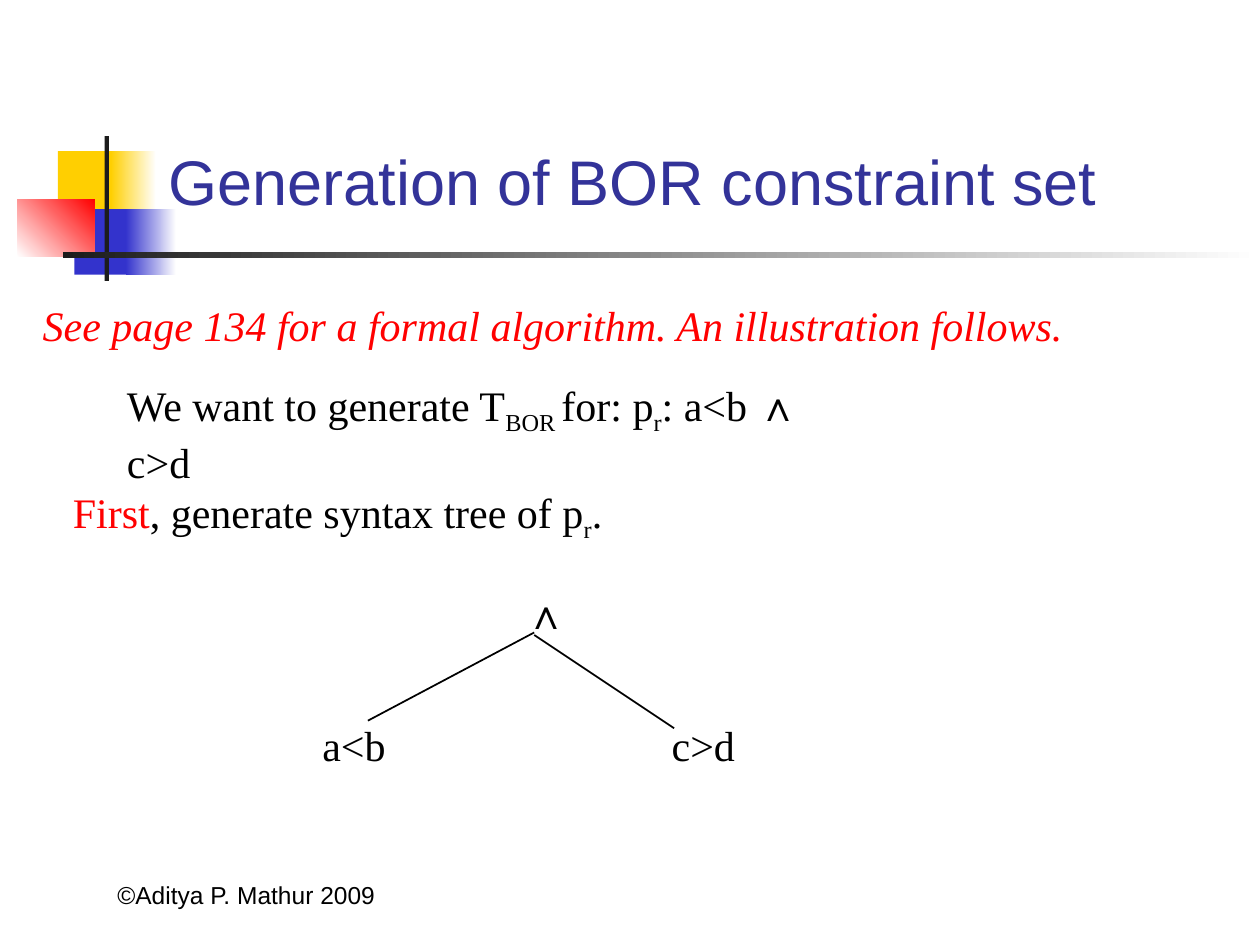
import pptx
import pptx.util
import pptx.dml.color
import pptx.enum.shapes
import pptx.enum.text
import pptx.oxml.ns
import lxml.etree

RGB = pptx.dml.color.RGBColor
YELLOW = RGB(0xFF, 0xCF, 0x01)
BLUE = RGB(0x33, 0x33, 0xCC)
TITLE_BLUE = RGB(0x33, 0x33, 0x99)
RED = RGB(0xFF, 0, 0)
CHARCOAL = RGB(0x1C, 0x1C, 0x1C)
BLACK = RGB(0, 0, 0)
WHITE = RGB(0xFF, 0xFF, 0xFF)

WIDTH, HEIGHT = pptx.util.Inches(10), pptx.util.Inches(7.5)
COLUMN, ROW = WIDTH / 100, HEIGHT / 75
SERIF, SANS = "Times New Roman", "Arial"
PLAIN = {"name": SERIF, "size": pptx.util.Pt(24), "color": BLACK, "italic": False}
SUBSCRIPT = {"baseline": "-25000"}


def spot(box, column, row):
    """Return the slide position of a grid point counted from the corner of box."""
    return round((box[0] + column) * COLUMN), round((box[1] + row) * ROW)


def extent(columns, rows):
    """Return a grid size as slide lengths."""
    return round(columns * COLUMN), round(rows * ROW)


def style_run(run, **changes):
    """Format a run with the plain style plus the given changes."""
    for key, value in {**PLAIN, **changes}.items():
        if key == "color":
            run.font.color.rgb = value
        elif key == "baseline":
            run.font._element.set("baseline", value)
        else:
            setattr(run.font, key, value)


def write(shapes, box, pieces, align=pptx.enum.text.PP_ALIGN.LEFT,
          anchor=pptx.enum.text.MSO_ANCHOR.TOP):
    """Put one paragraph of (text, style) pieces in a text box that fills box."""
    frame = shapes.add_textbox(*spot(box, 0, 0), *extent(*box[2:])).text_frame
    frame.word_wrap = True
    frame.vertical_anchor = anchor
    paragraph = frame.paragraphs[0]
    paragraph.alignment = align
    for text, changes in pieces:
        run = paragraph.add_run()
        run.text = text
        style_run(run, **changes)


def draw_block(shapes, box, area, colors, angle=0):
    """Draw a borderless rectangle, solid for one colour and graded for two."""
    block = shapes.add_shape(pptx.enum.shapes.MSO_SHAPE.RECTANGLE,
                             *spot(box, *area[:2]), *extent(*area[2:]))
    block.shadow.inherit = False
    block.line.fill.background()
    if len(colors) == 1:
        block.fill.solid()
        block.fill.fore_color.rgb = colors[0]
        return
    block.fill.gradient()
    block.fill.gradient_angle = angle
    for stop, color in zip(block.fill.gradient_stops, colors):
        stop.color.rgb = color


def draw_motif(shapes, box):
    """Draw the coloured squares and the crossed rules beside the title."""
    for area, colors, angle in (
        ((3.2, 1.2, 4.8, 5.2), (YELLOW,), 0),
        ((7.4, 1.2, 3.6, 5.2), (YELLOW, WHITE), 0),
        ((4.5, 5.8, 4.6, 5.2), (BLUE,), 0),
        ((8.6, 5.8, 4, 5.2), (BLUE, WHITE), 0),
        ((0, 5, 6.1, 4.6), (WHITE, RED), 45),
        ((6.9, 0, 0.35, 11.5), (CHARCOAL,), 0),
        ((3.6, 9.2, 95, 0.5), (CHARCOAL, WHITE), 0),
    ):
        draw_block(shapes, box, area, colors, angle)


def set_title(title, box):
    """Move and format the title placeholder."""
    title.left, title.top = spot(box, 0, 0)
    title.width, title.height = extent(*box[2:])
    frame = title.text_frame
    frame.text = "Generation of BOR constraint set"
    frame.vertical_anchor = pptx.enum.text.MSO_ANCHOR.BOTTOM
    frame.paragraphs[0].alignment = pptx.enum.text.PP_ALIGN.LEFT
    style_run(frame.paragraphs[0].runs[0], name=SANS, size=pptx.util.Pt(36), color=TITLE_BLUE)


def write_statements(shapes, box):
    """Write the note, the task and the first step."""
    left, top = box[:2]
    write(shapes, (left, top, 89.8, 5), [
        ("See page 134 for a formal algorithm. An illustration follows.",
         {"color": RED, "italic": True})])
    write(shapes, (left + 6.7, top + 6.3, 59.3, 5.6), [
        ("We want to generate T", {}), ("BOR ", SUBSCRIPT), ("for: p", {}),
        ("r", SUBSCRIPT), (": a<b ", {}), ("∧", {"name": SANS}), (" c>d", {})])
    write(shapes, (left + 2.4, top + 14.8, 44, 5.6), [
        ("First", {"color": RED}), (", generate syntax tree of p", {}),
        ("r", SUBSCRIPT), (".", {})])


def draw_branch(shapes, start, end):
    """Draw one thin branch of the tree."""
    branch = shapes.add_connector(pptx.enum.shapes.MSO_CONNECTOR.STRAIGHT, *start, *end)
    branch.line.color.rgb = BLACK
    branch.line.width = pptx.util.Pt(1)
    lxml.etree.SubElement(branch._element.spPr, pptx.oxml.ns.qn("a:effectLst"))


def draw_syntax_tree(shapes, box):
    """Draw the grouped syntax tree: a root, two leaves and two branches."""
    tree = shapes.add_group_shape().shapes
    left, top = box[:2]
    for text, area, font in (("a<b", (0, 10.5, 9.6, 5), SERIF),
                             (" c>d", (26.9, 10.5, 12, 5), SERIF),
                             ("∧", (16.1, 0, 4.8, 5), SANS)):
        write(tree, (left + area[0], top + area[1], *area[2:]), [(text, {"name": font})])
    for start, end in (((17.8, 4.1), (4.6, 11.1)), ((17.8, 4.3), (28.9, 11.7))):
        draw_branch(tree, spot(box, *start), spot(box, *end))


def main():
    """Build and save the slide."""
    deck = pptx.Presentation()
    deck.slide_width, deck.slide_height = WIDTH, HEIGHT
    slide = deck.slides.add_slide(deck.slide_layouts[5])
    shapes = slide.shapes
    draw_motif(shapes, (1.4, 10.8, 98.6, 11.5))
    write(shapes, (3.7, 67.7, 31.7, 5),
          [("©Aditya P. Mathur 2009", {"name": SANS, "size": pptx.util.Pt(14)})],
          pptx.enum.text.PP_ALIGN.CENTER, pptx.enum.text.MSO_ANCHOR.BOTTOM)
    set_title(shapes.title, (12.4, 10.7, 85.2, 7.1))
    write_statements(shapes, (2.4, 23.3, 89.8, 20.4))
    draw_syntax_tree(shapes, (24.6, 46.1, 38.9, 15.5))
    deck.save("out.pptx")


if __name__ == "__main__":
    main()
